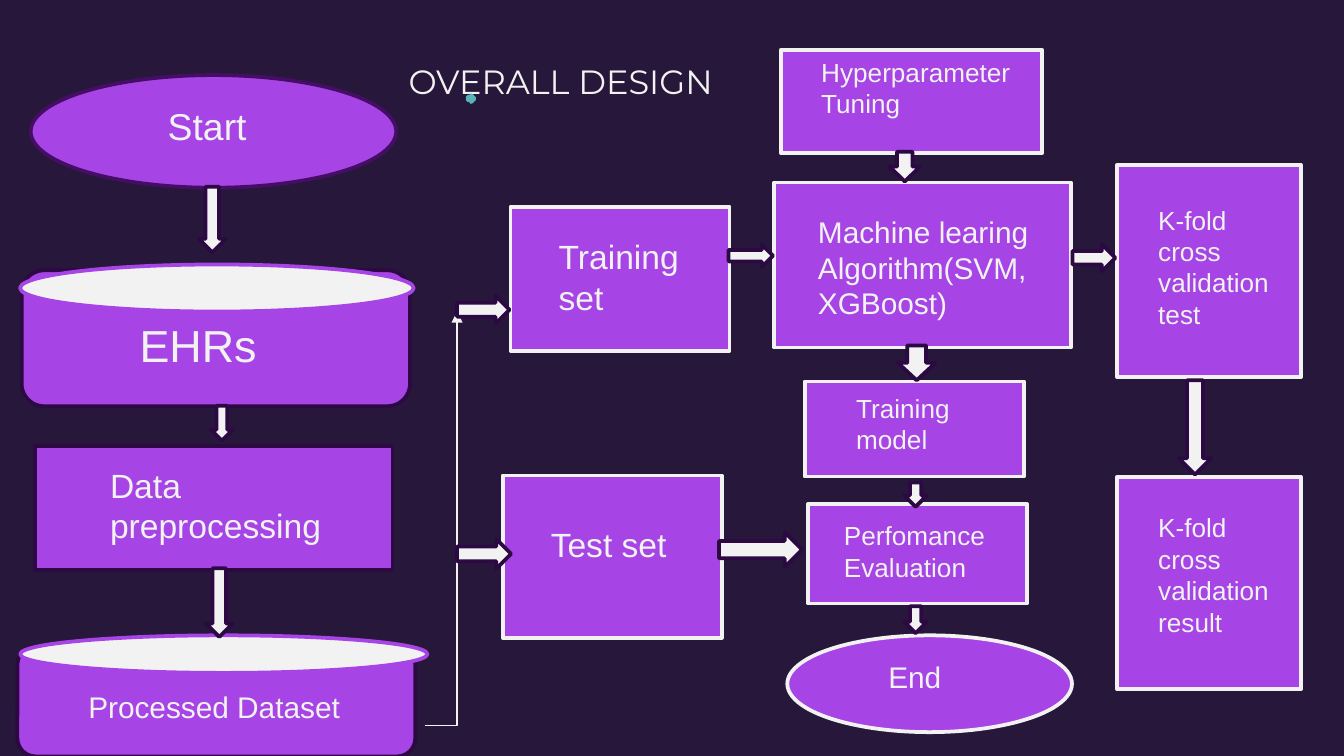
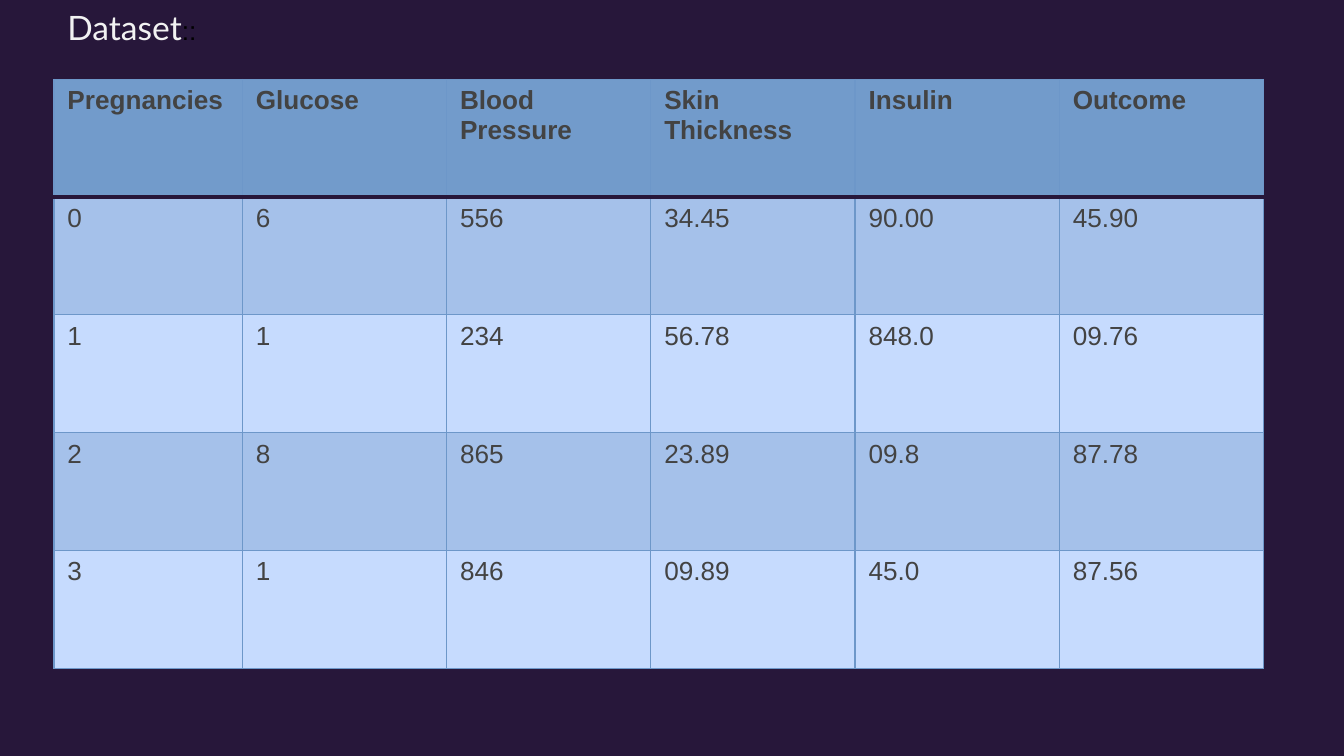
from lxml import etree
from pptx import Presentation
from pptx import util as u
from pptx.dml.color import RGBColor
from pptx.enum import shapes, text
from pptx.oxml.ns import qn

NIGHT, PURPLE, WHITE, PLUM = "27173A", "A644E5", "F2F2F2", "2D0944"
HEADER, BAND, PALE, GRID = "729BCB", "A5C1EA", "C6DBFE", "6D97C9"
SHAPE = shapes.MSO_SHAPE
OVAL, RECT, ROUND = SHAPE.OVAL, SHAPE.RECTANGLE, SHAPE.ROUNDED_RECTANGLE
DOWN, RIGHT = SHAPE.DOWN_ARROW, SHAPE.RIGHT_ARROW

# Content: lengths in cm, boxes are (left, top, width, height)
# Each step: shape, box, outline, label, label box, text size
STEPS = [
    (OVAL, (0.58, 1.42, 6.91, 2.13), "440E65", "Start", (2.92, 1.83, 3.71, 1.7), 20),
    (ROUND, (0.41, 5.11, 7.34, 2.57), PLUM, "EHRs", (2.39, 5.89, 5.64, 1.27), 24),
    (RECT, (0.66, 8.43, 6.76, 2.34), PLUM, "Data preprocessing",
     (1.83, 8.66, 5.66, 1.8), 18),
    (ROUND, (0.33, 12.22, 7.52, 2.08), PLUM, "Processed Dataset",
     (1.42, 12.9, 6.4, 0.94), 16),
    (RECT, (9.65, 3.91, 4.14, 2.72), WHITE, "Training set", (10.31, 4.34, 3.05, 1.8), 18),
    (RECT, (9.5, 8.99, 4.14, 3.07), WHITE, "Test set", (10.16, 9.78, 3.25, 1.02), 18),
    (RECT, (14.76, 0.94, 4.93, 1.96), WHITE, "Hyperparameter Tuning",
     (15.27, 0.94, 4.34, 1.45), 14),
    (RECT, (14.63, 3.45, 5.61, 3.12), WHITE, "Machine learing Algorithm(SVM,\nXGBoost)",
     (15.21, 3.91, 4.75, 2.31), 16),
    (RECT, (15.21, 7.21, 4.14, 1.8), WHITE, "Training model", (15.93, 7.29, 3.3, 2.06), 14),
    (RECT, (15.27, 9.53, 4.14, 1.88), WHITE, "Perfomance Evaluation",
     (15.7, 9.7, 3.43, 1.45), 14),
    (OVAL, (14.88, 12.01, 5.38, 1.83), WHITE, "End", (16.54, 12.32, 3.18, 0.94), 16),
    (RECT, (21.11, 3.12, 3.48, 4.01), WHITE, "K-fold cross validation test",
     (21.64, 3.73, 2.92, 2.64), 14),
    (RECT, (21.11, 9.02, 3.48, 4.01), WHITE, "K-fold cross validation result",
     (21.64, 9.55, 2.74, 2.64), 14),
]
LIDS = [(0.38, 5, 7.44, 0.89), (0.38, 12.01, 7.7, 0.71)]
ARROWS = {
    DOWN: [(3.76, 3.53, 0.51, 1.24), (3.99, 7.67, 0.41, 0.66), (3.89, 10.74, 0.51, 1.3),
           (16.81, 2.87, 0.58, 0.56), (16.97, 6.53, 0.71, 0.66),
           (17.09, 9.12, 0.43, 0.46), (17.09, 11.46, 0.43, 0.51),
           (22.28, 7.19, 0.61, 1.78)],
    RIGHT: [(20.27, 4.62, 0.81, 0.51), (8.64, 5.59, 0.99, 0.53),
            (8.64, 10.19, 1.02, 0.56), (13.77, 4.62, 0.84, 0.43),
            (13.59, 10.06, 1.57, 0.66)],
}
SPLIT = (8.03, 13.72, 8.64, 5.89)
DOT = (8.84, 1.8, 0.13, 0.13)
TABLE = [
    ("Pregnancies", "Glucose", "Blood Pressure", "Skin Thickness", "Insulin", "Outcome"),
    ("0", "6", "556", "34.45", "90.00", "45.90"),
    ("1", "1", "234", "56.78", "848.0", "09.76"),
    ("2", "8", "865", "23.89", "09.8", "87.78"),
    ("3", "1", "846", "09.89", "45.0", "87.56"),
]


def rgb(color):
    return RGBColor.from_string(color)


def cm(*lengths):
    return [u.Cm(v) for v in lengths]


def add_run(p, words, size=14, color=WHITE, font="Arial", bold=False):
    r = p.add_run()
    r.text = words
    r.font.size, r.font.name, r.font.bold = u.Pt(size), font, bold
    r.font.color.rgb = rgb(color)


def add_shape(s, kind, box, fill, line):
    sp = s.shapes.add_shape(kind, *cm(*box))
    sp.shadow.inherit = False
    sp.fill.solid()
    sp.fill.fore_color.rgb = rgb(fill)
    sp.line.color.rgb = rgb(line)
    sp.line.width = u.Pt(2)


def add_label(s, words, box, size):
    tf = s.shapes.add_textbox(*cm(*box)).text_frame
    tf.word_wrap = True
    for i, line in enumerate(words.split("\n")):
        add_run(tf.add_paragraph() if i else tf.paragraphs[0], line, size)


def add_slide(prs, title, box, font):
    s = prs.slides.add_slide(prs.slide_layouts[5])
    sp = s.shapes.title
    sp.left, sp.top, sp.width, sp.height = cm(*box)
    tf = sp.text_frame
    tf.word_wrap, tf.auto_size = True, text.MSO_AUTO_SIZE.NONE
    tf.vertical_anchor = text.MSO_ANCHOR.TOP
    tf.paragraphs[0].alignment = text.PP_ALIGN.LEFT
    add_run(tf.paragraphs[0], title, 18, font=font)
    return s


def add_split(s):
    """Elbow with one corner, rising to the training branch."""
    line = s.shapes.add_connector(shapes.MSO_CONNECTOR.ELBOW, *cm(*SPLIT))
    line.line.color.rgb = rgb(WHITE)
    line.line.width = u.Pt(0.75)
    spPr = line._element.spPr
    spPr.find(qn("a:prstGeom")).set("prst", "bentConnector2")
    etree.SubElement(spPr.find(qn("a:ln")), qn("a:tailEnd"), type="triangle")
    etree.SubElement(spPr, qn("a:effectLst"))


def set_borders(cell, **sides):
    tcPr = cell._tc.get_or_add_tcPr()
    for i, side in enumerate(("L", "R", "T", "B")):
        color, width = sides.get(side, (GRID, 0.75))
        ln = etree.Element(qn(f"a:ln{side}"), w=str(u.Pt(width)))
        fill = etree.SubElement(ln, qn("a:solidFill"))
        etree.SubElement(fill, qn("a:srgbClr"), val=color)
        tcPr.insert(i, ln)


def design_slide(prs):
    s = add_slide(prs, "OVERALL DESIGN", (7.47, 1.02, 7.29, 1.02), "Montserrat")
    # Steps and the lids of the two data stores
    for kind, box, outline, *_ in STEPS:
        add_shape(s, kind, box, PURPLE, outline)
    for box in LIDS:
        add_shape(s, OVAL, box, WHITE, PURPLE)
    for *_, words, box, size in STEPS:
        add_label(s, words, box, size)
    # Flow
    add_split(s)
    for kind, boxes in ARROWS.items():
        for box in boxes:
            add_shape(s, kind, box, WHITE, PLUM)
    add_shape(s, RIGHT, DOT, "76F3FB", "57B4BA")


def dataset_slide(prs):
    s = add_slide(prs, "Dataset", (1.02, 0, 10.69, 1.02), "Lato")
    add_run(s.shapes.title.text_frame.paragraphs[0], "::", color="000000")
    # Table
    rows, cols = len(TABLE), len(TABLE[0])
    table = s.shapes.add_table(rows, cols, *cm(1.02, 1.5, 22.86, 11.13)).table
    for j, col in enumerate(table.columns):
        col.width = u.Cm(3.86 if j else 3.56)
    rule = (NIGHT, 2)
    for i, values in enumerate(TABLE):
        table.rows[i].height = u.Cm(11.13 / rows)
        for j, value in enumerate(values):
            cell = table.cell(i, j)
            cell.fill.solid()
            cell.fill.fore_color.rgb = rgb((BAND if i % 2 else PALE) if i else HEADER)
            add_run(cell.text_frame.paragraphs[0], value, color="434343", bold=i == 0)
            set_borders(cell, **({"B": rule} if i == 0 else {"T": rule} if i == 1 else {}))


def main():
    prs = Presentation()
    prs.slide_width, prs.slide_height = cm(25.4, 14.29)
    fill = prs.slide_master.background.fill
    fill.solid()
    fill.fore_color.rgb = rgb(NIGHT)
    design_slide(prs)
    dataset_slide(prs)
    prs.save("out.pptx")


if __name__ == "__main__":
    main()
